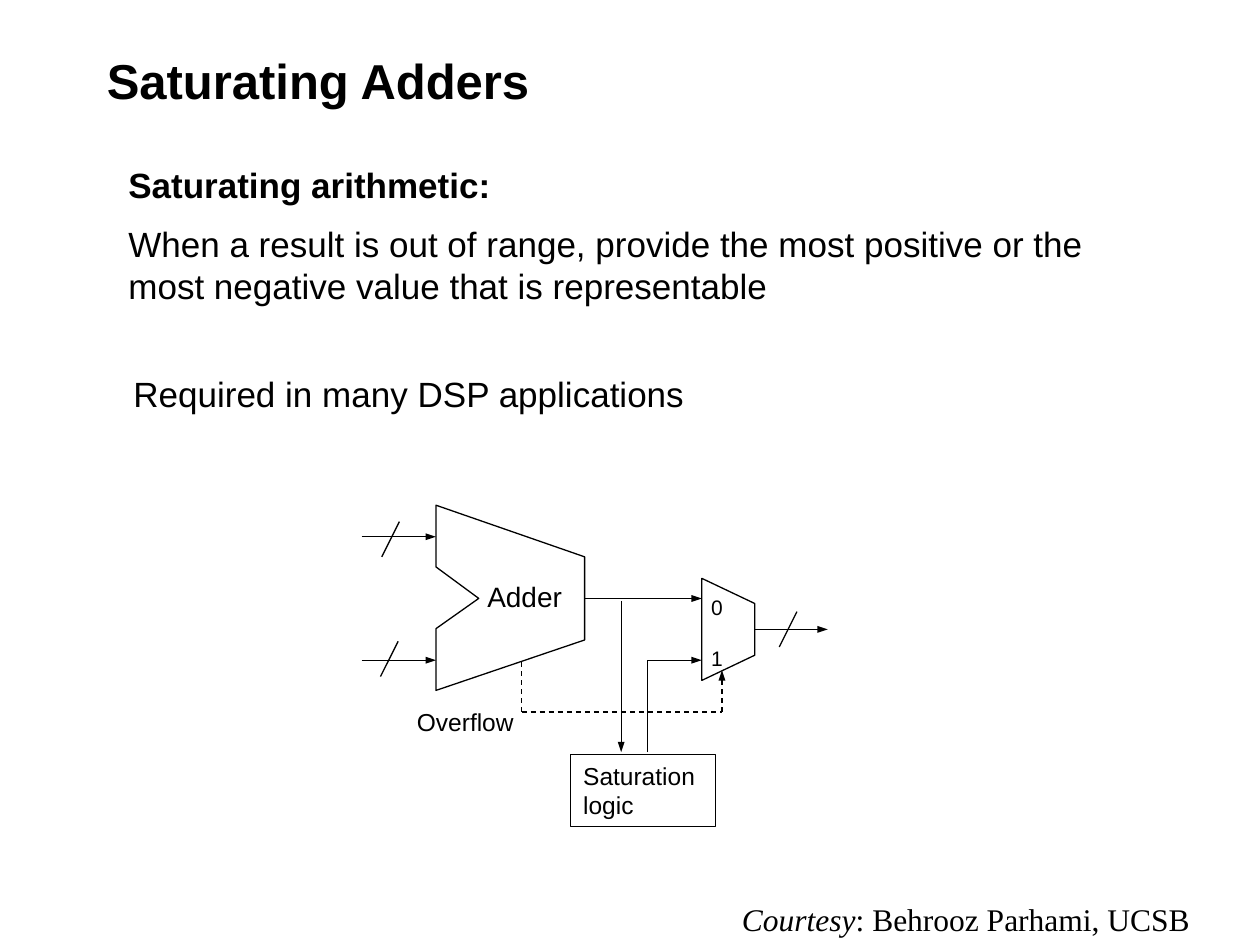
from dataclasses import dataclass
from typing import Optional

from lxml.etree import SubElement
from pptx import Presentation
from pptx.dml.color import RGBColor
from pptx.enum.dml import MSO_LINE
from pptx.enum.shapes import MSO_CONNECTOR, MSO_SHAPE
from pptx.enum.text import MSO_ANCHOR, PP_ALIGN
from pptx.oxml.ns import qn
from pptx.util import Inches, Pt

COLUMNS, ROWS = 100, 75
WIDTH, HEIGHT = Inches(10), Inches(7.5)
INK, PAPER = "000000", "FFFFFF"
STROKE = Pt(0.75)

ADDER_LEFT, ADDER_RIGHT, ADDER_AXIS = 34.6, 46.4, 47.5
MUX_LEFT, MUX_RIGHT, MUX_AXIS = 55.7, 59.9, 49.95
INPUT_LEFT, UPPER_INPUT, LOWER_INPUT = 28.7, 42.6, 52.4
OVERFLOW_X, SELECT_X, OVERFLOW_Y = 41.4, 57.3, 56.5
SATURATED_X, LOGIC_GAP_Y = 51.4, 59.7


@dataclass(frozen=True)
class Line:
    """A paragraph as (text, bold, italic) runs."""
    runs: tuple
    before: float = 0


@dataclass(frozen=True)
class Label:
    """A block of text placed on the grid."""
    box: tuple
    lines: tuple
    size: float
    wrap: bool = True
    align: PP_ALIGN = PP_ALIGN.LEFT
    face: str = "Arial"
    top_inset: float = 0.05


@dataclass(frozen=True)
class Wire:
    """A straight signal line between two grid points."""
    start: tuple
    end: tuple
    arrow: bool = False
    dashed: bool = False


@dataclass(frozen=True)
class Block:
    """A closed outline through grid points."""
    corners: tuple
    fill: Optional[str] = None


def plain(text: str, before: float = 0, bold: bool = False) -> Line:
    """Make a paragraph of one run."""
    return Line(((text, bold, False),), before)


def slash(x: float, y: float) -> Wire:
    """Make the bus mark centred on a grid point."""
    return Wire((x + 0.7, y - 1.4), (x - 0.7, y + 1.4))


BLOCKS = (
    Block(((ADDER_LEFT, 40.1), (ADDER_RIGHT, 44.2), (ADDER_RIGHT, 50.8),
           (ADDER_LEFT, 54.8), (ADDER_LEFT, 49.9), (38, ADDER_AXIS),
           (ADDER_LEFT, 45))),
    Block(((MUX_LEFT, 54), (MUX_RIGHT, 52), (MUX_RIGHT, 47.9),
           (MUX_LEFT, 45.9)), PAPER),
)

WIRES = (
    Wire((INPUT_LEFT, UPPER_INPUT), (ADDER_LEFT, UPPER_INPUT), arrow=True),
    Wire((INPUT_LEFT, LOWER_INPUT), (ADDER_LEFT, LOWER_INPUT), arrow=True),
    Wire((ADDER_RIGHT, ADDER_AXIS), (MUX_LEFT, ADDER_AXIS), arrow=True),
    Wire((MUX_RIGHT, MUX_AXIS), (65.7, MUX_AXIS), arrow=True),
    slash(31, 42.8),
    slash(30.9, 52.3),
    slash(62.55, MUX_AXIS),
    Wire((OVERFLOW_X, OVERFLOW_Y), (OVERFLOW_X, LOWER_INPUT), dashed=True),
    Wire((OVERFLOW_X, OVERFLOW_Y), (SELECT_X, OVERFLOW_Y), dashed=True),
    Wire((SELECT_X, OVERFLOW_Y), (SELECT_X, 53.2), arrow=True, dashed=True),
    Wire((49.3, 47.7), (49.3, LOGIC_GAP_Y), arrow=True),
    Wire((SATURATED_X, LOGIC_GAP_Y), (SATURATED_X, LOWER_INPUT)),
    Wire((SATURATED_X, LOWER_INPUT), (MUX_LEFT, LOWER_INPUT), arrow=True),
)

LABELS = (
    Label((7.5, 3.3, 85, 9.2), (plain("Saturating Adders", bold=True),), 28,
          top_inset=0.07),
    Label((9.2, 12.5, 80.2, 12.5),
          (plain("Saturating arithmetic:", bold=True),
           plain("When a result is out of range, provide the most positive or "
                 "the most negative value that is representable", 9.6)), 20),
    Label((9.6, 29.1, 52.1, 4.3),
          (plain("Required in many DSP applications"),), 20),
    Label((37.7, 45.5, 8, 3.6), (plain("Adder"),), 16, wrap=False),
    Label((32.1, 55.6, 9.8, 3.3), (plain("Overflow"),), 14, wrap=False),
    Label((54.8, 46.7, 4.2, 6.9), (plain("0"), plain("1", 14.4)), 12,
          align=PP_ALIGN.CENTER),
    Label((57.9, 70.9, 40.9, 4),
          (Line((("Courtesy", False, True),
                 (": Behrooz Parhami, UCSB", False, False))),), 18,
          face="Times New Roman"),
)

SATURATION_LOGIC = Label((45.3, 59.9, 11.5, 5.7),
                         (plain("Saturation"), plain("logic")), 14, wrap=False)


def color(value: str) -> RGBColor:
    """Turn a hex string into a colour."""
    return RGBColor.from_string(value)


def across(columns: float) -> int:
    """Convert grid columns to a length."""
    return round(WIDTH * columns / COLUMNS)


def down(rows: float) -> int:
    """Convert grid rows to a length."""
    return round(HEIGHT * rows / ROWS)


def place(box: tuple) -> tuple:
    """Convert a grid box to left, top, width and height."""
    left, top, width, height = box
    return across(left), down(top), across(width), down(height)


def ink_outline(shape) -> None:
    """Give a shape or connector the common thin outline."""
    shape.line.color.rgb = color(INK)
    shape.line.width = STROKE


def write(frame, label: Label) -> None:
    """Fill a text frame with the lines of a label."""
    frame.word_wrap = label.wrap
    frame.vertical_anchor = MSO_ANCHOR.TOP
    frame.margin_top = Inches(label.top_inset)
    for index, line in enumerate(label.lines):
        paragraph = frame.add_paragraph() if index else frame.paragraphs[0]
        paragraph.alignment = label.align
        if line.before:
            paragraph.space_before = Pt(line.before)
        paragraph.font.name = label.face
        paragraph.font.size = Pt(label.size)
        paragraph.font.color.rgb = color(INK)
        for text, bold, italic in line.runs:
            run = paragraph.add_run()
            run.text = text
            run.font.bold, run.font.italic = bold, italic


def draw_label(slide, label: Label) -> None:
    """Add a text box."""
    write(slide.shapes.add_textbox(*place(label.box)).text_frame, label)


def draw_boxed_label(slide, label: Label) -> None:
    """Add an outlined rectangle holding a label."""
    box = slide.shapes.add_shape(MSO_SHAPE.RECTANGLE, *place(label.box))
    box.shadow.inherit = False
    box.fill.background()
    ink_outline(box)
    write(box.text_frame, label)


def draw_block(slide, block: Block) -> None:
    """Add a closed freeform outline."""
    first, *others = [(across(x), down(y)) for x, y in block.corners]
    builder = slide.shapes.build_freeform(*first)
    builder.add_line_segments(others, close=True)
    outline = builder.convert_to_shape()
    outline.shadow.inherit = False
    if block.fill:
        outline.fill.solid()
        outline.fill.fore_color.rgb = color(block.fill)
    else:
        outline.fill.background()
    ink_outline(outline)


def draw_wire(slide, wire: Wire) -> None:
    """Add a straight connector with its dash and arrowhead."""
    (x1, y1), (x2, y2) = wire.start, wire.end
    connector = slide.shapes.add_connector(
        MSO_CONNECTOR.STRAIGHT, across(x1), down(y1), across(x2), down(y2))
    ink_outline(connector)
    if wire.dashed:
        connector.line.dash_style = MSO_LINE.DASH
    if wire.arrow:
        SubElement(connector.line._get_or_add_ln(), qn("a:tailEnd"),
                   type="triangle", w="sm", len="med")
    SubElement(connector._element.spPr, qn("a:effectLst"))


def main() -> None:
    """Build the slide and save it."""
    deck = Presentation()
    deck.slide_width, deck.slide_height = WIDTH, HEIGHT
    slide = deck.slides.add_slide(deck.slide_layouts[6])
    for block in BLOCKS:
        draw_block(slide, block)
    for wire in WIRES:
        draw_wire(slide, wire)
    draw_boxed_label(slide, SATURATION_LOGIC)
    for label in LABELS:
        draw_label(slide, label)
    deck.save("out.pptx")


if __name__ == "__main__":
    main()
